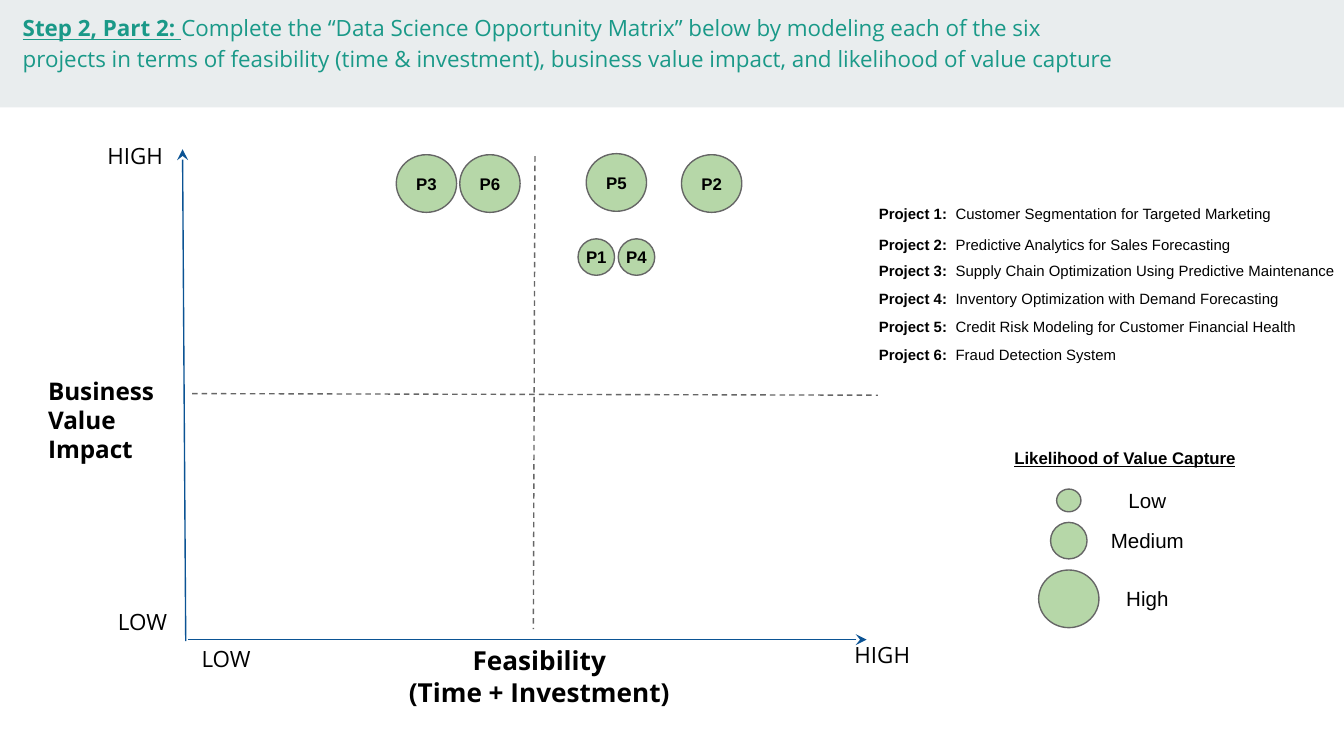
from typing import NamedTuple

from pptx import Presentation
from pptx.dml.color import RGBColor
from pptx.enum import dml, shapes, text
from pptx.oxml.ns import qn
from pptx.util import Cm, Pt
from lxml import etree

COLORS = {"band": "E9EDEE", "teal": "1A9988", "axis": "0B5394",
          "gray": "666666", "bubble": "B6D7A8", "text": "000000"}
SIZES = {"Low": (0.46, 0.43), "Medium": (0.69, 0.69), "High": (1.14, 1.09)}
LEFT, CENTER, RIGHT = text.PP_ALIGN.LEFT, text.PP_ALIGN.CENTER, text.PP_ALIGN.RIGHT


class Line(NamedTuple):
    start: tuple[float, float]
    end: tuple[float, float]
    is_axis: bool = False


class Label(NamedTuple):
    lines: tuple[str, ...]
    box: tuple[float, float, float, float]
    size: float = 12
    bold: bool = False
    align: text.PP_ALIGN = LEFT
    font: str = "Open Sans"
    underline: bool = False


class Bubble(NamedTuple):
    x: float
    y: float
    likelihood: str
    name: str = ""


LINES = [
    Line((10.11, 2.95), (10.08, 11.89)),
    Line((3.63, 7.44), (16.59, 7.47)),
    Line((3.45, 2.82), (3.51, 12.12), True),
    Line((16.38, 12.09), (3.56, 12.09), True),
]
LABELS = [
    Label(("Business Value Impact",), (0.66, 6.86, 3, 1.14), 13, True),
    Label(("Feasibility", "(Time + Investment)"), (5.79, 11.94, 8.81, 1.14), 14, True, CENTER),
    Label(("HIGH",), (1.78, 2.51, 2.08, 0.43)),
    Label(("LOW",), (3.56, 11.94, 1.7, 0.61)),
    Label(("LOW",), (1.98, 11.25, 1.7, 0.61)),
    Label(("HIGH",), (15.9, 11.94, 2.08, 0.43)),
    Label(("Likelihood of Value Capture",), (18.92, 8.28, 4.72, 0.94), 9, True,
          font="Arial", underline=True),
]
BUBBLES = [
    Bubble(13.45, 3.47, "High", "P2"),
    Bubble(12.03, 4.86, "Medium", "P4"),
    Bubble(11.27, 4.86, "Medium", "P1"),
    Bubble(8.06, 3.47, "High", "P3"),
    Bubble(11.65, 3.45, "High", "P5"),
    Bubble(9.26, 3.47, "High", "P6"),
]
LEGEND = [Bubble(20.2, 9.46, "Low"), Bubble(20.2, 10.22, "Medium"), Bubble(20.2, 11.32, "High")]
PROJECTS = [
    (0.53, "Customer Segmentation for Targeted Marketing"),
    (0.58, "Predictive Analytics for Sales Forecasting"),
    (0.48, "Supply Chain Optimization Using Predictive Maintenance"),
    (0.53, "Inventory Optimization with Demand Forecasting"),
    (0.53, "Credit Risk Modeling for Customer Financial Health"),
    (0.53, "Fraud Detection System"),
]


def rgb(name: str) -> RGBColor:
    return RGBColor.from_string(COLORS[name])


def set_font(font, size: float, name: str, color: str = "text", bold: bool = False) -> None:
    font.size, font.name, font.bold = Pt(size), name, bold
    font.color.rgb = rgb(color)


def set_margins(frame, x: float, y: float) -> None:
    frame.margin_left = frame.margin_right = Cm(x)
    frame.margin_top = frame.margin_bottom = Cm(y)


def add_text_frame(s, box: tuple[float, float, float, float]):
    tf = s.shapes.add_textbox(*map(Cm, box)).text_frame
    tf.word_wrap = True
    set_margins(tf, 0.25, 0.25)
    return tf


def add_header(s, width: int) -> None:
    band = s.shapes.add_shape(shapes.MSO_SHAPE.RECTANGLE, 0, 0, width, Cm(2.03))
    band.shadow.inherit = False
    band.fill.solid()
    band.fill.fore_color.rgb = rgb("band")
    band.line.fill.background()


def add_title(s) -> None:
    p = add_text_frame(s, (0.18, -0.05, 21.44, 0.94)).paragraphs[0]
    p.line_spacing = 1.15
    set_font(p.font, 12, "Open Sans", "teal")
    step = p.add_run()
    step.text = "Step 2, Part 2: "
    step.font.bold = step.font.underline = True
    p.add_run().text = (
        "Complete the “Data Science Opportunity Matrix” below by modeling each of the six "
        "projects in terms of feasibility (time & investment), business value impact, "
        "and likelihood of value capture")


def add_line(s, line: Line) -> None:
    """Draw a dashed divider, or an axis with its arrowhead at the start."""
    c = s.shapes.add_connector(shapes.MSO_CONNECTOR.STRAIGHT,
                               *map(Cm, line.start + line.end))
    c.line.width = Pt(0.75)
    c.line.color.rgb = rgb("axis" if line.is_axis else "gray")
    if line.is_axis:
        head = etree.SubElement(c.line._get_or_add_ln(), qn("a:headEnd"))
        head.set("type", "stealth")
    else:
        c.line.dash_style = dml.MSO_LINE.DASH
    etree.SubElement(c._element.spPr, qn("a:effectLst"))


def add_label(s, label: Label) -> None:
    tf = add_text_frame(s, label.box)
    tf.text = "\n".join(label.lines)
    for p in tf.paragraphs:
        p.alignment = label.align
        set_font(p.font, label.size, label.font, bold=label.bold)
        p.font.underline = label.underline


def add_bubble(s, bubble: Bubble) -> None:
    """Draw a circle centred on the bubble's point."""
    w, h = SIZES[bubble.likelihood]
    sp = s.shapes.add_shape(shapes.MSO_SHAPE.OVAL, Cm(bubble.x - w / 2),
                            Cm(bubble.y - h / 2), Cm(w), Cm(h))
    sp.shadow.inherit = False
    sp.fill.solid()
    sp.fill.fore_color.rgb = rgb("bubble")
    sp.line.color.rgb = rgb("gray")
    sp.line.width = Pt(0.75)
    if bubble.name:
        tf = sp.text_frame
        tf.word_wrap = False
        tf.vertical_anchor = text.MSO_ANCHOR.MIDDLE
        set_margins(tf, 0, 0)
        p = tf.paragraphs[0]
        p.text, p.alignment = bubble.name, CENTER
        set_font(p.font, 9, "Arial", bold=True)


def add_projects(s) -> None:
    widths = (2.08, 7.39)
    height = sum(h for h, _ in PROJECTS)
    table = s.shapes.add_table(len(PROJECTS), 2, Cm(15.9), Cm(3.73),
                               Cm(sum(widths)), Cm(height)).table
    table.first_row = table.horz_banding = False
    for column, width in zip(table.columns, widths):
        column.width = Cm(width)
    for i, (row_height, name) in enumerate(PROJECTS):
        table.rows[i].height = Cm(row_height)
        for j, (words, align) in enumerate([(f"Project {i + 1}:", RIGHT), (name, LEFT)]):
            cell = table.cell(i, j)
            cell.fill.background()
            cell.vertical_anchor = text.MSO_ANCHOR.BOTTOM
            set_margins(cell, 0.08, 0.05)
            p = cell.text_frame.paragraphs[0]
            p.text, p.alignment, p.line_spacing = words, align, 1.15
            set_font(p.font, 8, "Arial", bold=j == 0)


def main() -> None:
    prs = Presentation()
    prs.slide_width, prs.slide_height = Cm(25.4), Cm(14.29)
    s = prs.slides.add_slide(prs.slide_layouts[6])
    add_header(s, prs.slide_width)
    for line in LINES:
        add_line(s, line)
    for label in LABELS:
        add_label(s, label)
    add_title(s)
    add_projects(s)
    for bubble in LEGEND:
        add_label(s, Label((bubble.likelihood,), (20.68, bubble.y - 0.47, 2.01, 0.94),
                           11, align=CENTER, font="Arial"))
    for bubble in LEGEND + BUBBLES:
        add_bubble(s, bubble)
    prs.save("out.pptx")


if __name__ == "__main__":
    main()
